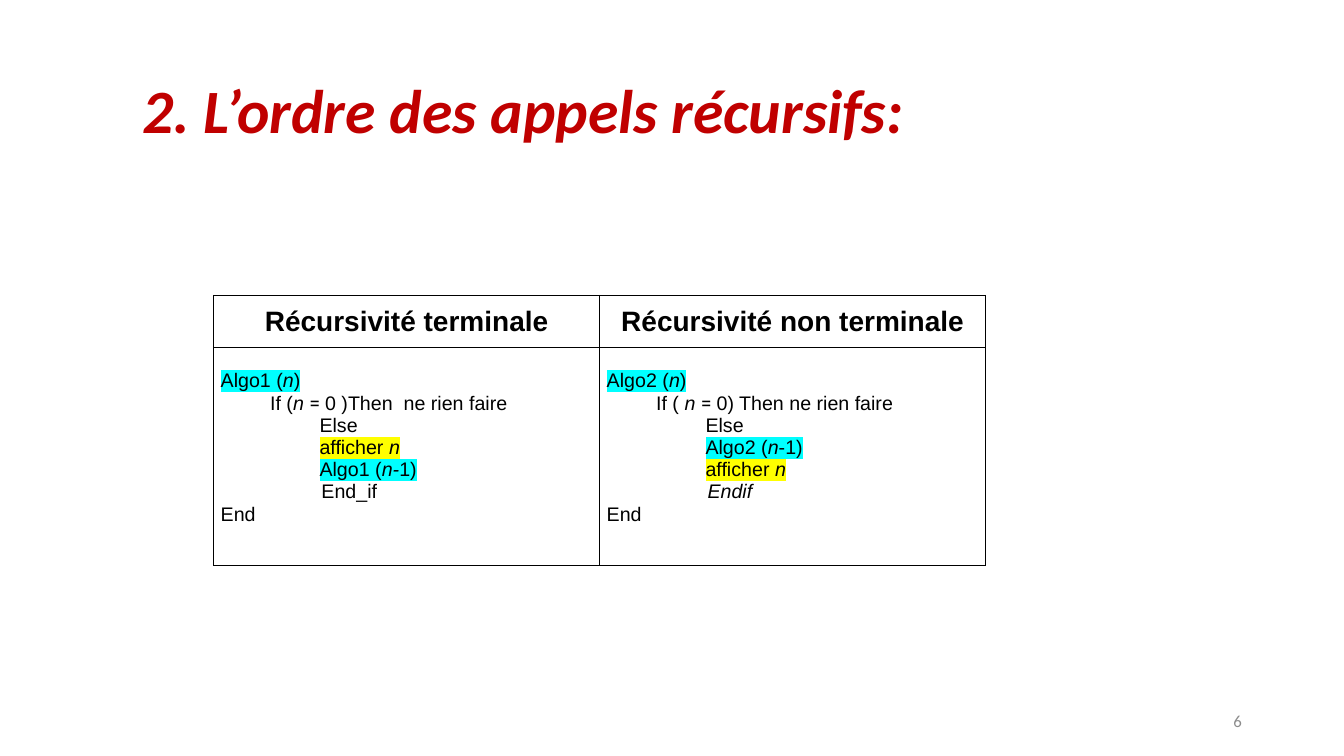
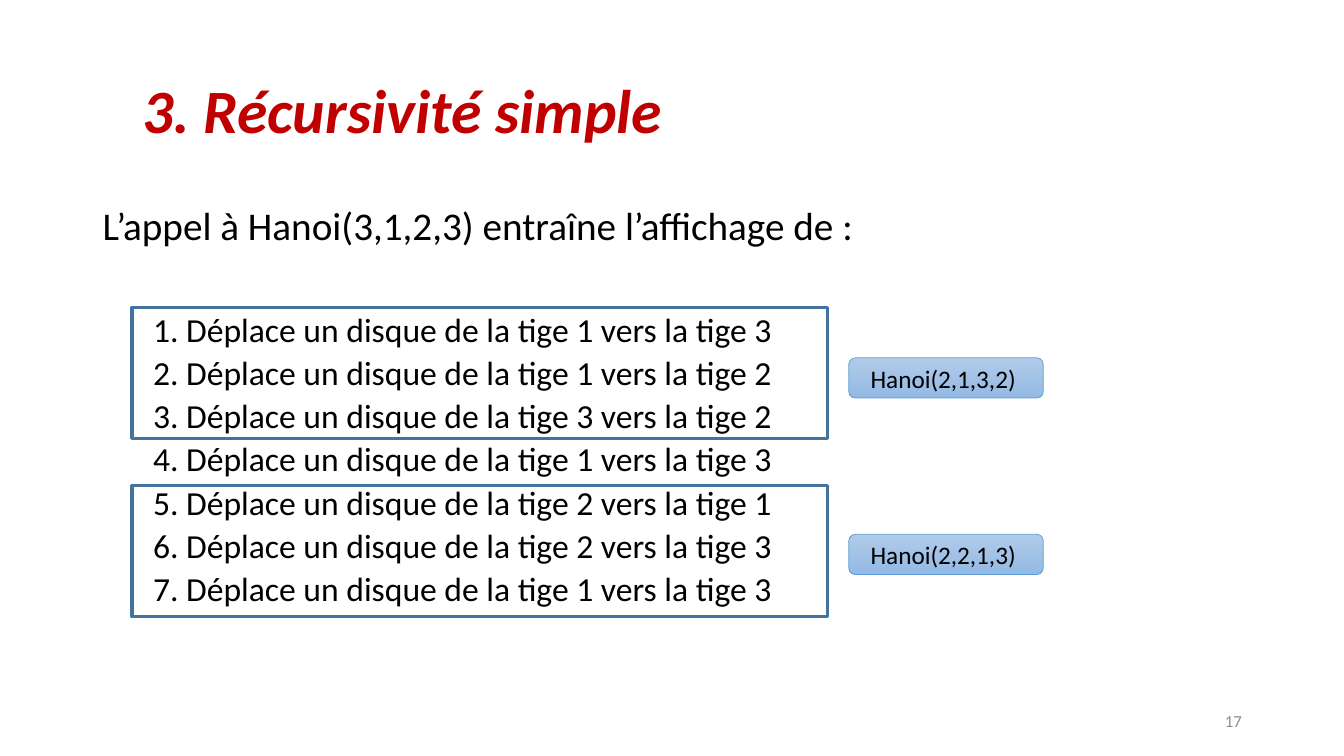
from dataclasses import dataclass

from lxml.etree import SubElement
from pptx import Presentation
from pptx.dml.color import RGBColor
from pptx.enum.shapes import MSO_SHAPE
from pptx.enum.text import MSO_ANCHOR, PP_ALIGN
from pptx.oxml.ns import qn
from pptx.util import Inches, Pt


@dataclass(frozen=True)
class Theme:
    width: float = 13.33
    height: float = 7.5
    text_font: str = "Calibri"
    code_font: str = "Arial"
    sign_font: str = "Roboto"
    ink: str = "000000"
    accent: str = "C00000"
    muted: str = "8C8C8C"
    frame: str = "43739E"
    tag_edge: str = "5B9BD5"
    tag_fill: tuple = ("B1CBE9", "93B9E4")
    call_mark: str = "00FFFF"
    print_mark: str = "FFFF00"
    title_size: int = 44
    lead_size: int = 28
    item_size: int = 24
    heading_size: int = 20
    tag_size: int = 18
    code_size: int = 14
    number_size: int = 12
    code_indent: float = 0.49
    cell_inset: float = 0.07


THEME = Theme()
VARIABLE = {"italic": True}
SIGN = {"name": THEME.sign_font}


def assign(target, values):
    for name, value in values.items():
        setattr(target, name, value)


class Deck:
    def __init__(self, theme):
        self.theme = theme
        self.presentation = Presentation()
        assign(self.presentation, {"slide_width": Inches(theme.width), "slide_height": Inches(theme.height)})
        self.slide = None

    def place(self, left, top, width, height):
        across, down = self.presentation.slide_width / 100, self.presentation.slide_height / 100
        return [round(share * unit) for share, unit in zip((left, top, width, height), (across, down) * 2)]

    def add_text(self, frame, runs, size, name=None, color=None, bold=False, italic=False,
                 mark=None, indent=0, first=True, **layout):
        paragraph = frame.paragraphs[0] if first else frame.add_paragraph()
        paragraph._p.get_or_add_pPr().set("marL", str(Inches(indent)))
        assign(paragraph, layout)
        base = {"size": Pt(size), "name": name or self.theme.text_font, "bold": bold, "italic": italic}
        for text, changes in [(runs, {})] if isinstance(runs, str) else runs:
            run = paragraph.add_run()
            run.text = text
            assign(run.font, base | changes)
            run.font.color.rgb = RGBColor.from_string(color or self.theme.ink)
            if mark:
                self.highlight(run, mark)

    def highlight(self, run, color):
        properties = run._r.get_or_add_rPr()
        highlight = SubElement(properties, qn("a:highlight"))
        SubElement(highlight, qn("a:srgbClr"), val=color)
        properties.find(qn("a:latin")).addprevious(highlight)

    def text_box(self, *area, anchor=MSO_ANCHOR.TOP):
        frame = self.slide.shapes.add_textbox(*self.place(*area)).text_frame
        assign(frame, {"word_wrap": True, "vertical_anchor": anchor})
        return frame

    def start_slide(self, title, number):
        theme = self.theme
        self.slide = self.presentation.slides.add_slide(self.presentation.slide_layouts[6])
        self.add_text(self.text_box(9.83, 5.33, 83.25, 19.33, anchor=MSO_ANCHOR.MIDDLE), title,
                      theme.title_size, color=theme.accent, bold=True, italic=True, line_spacing=0.9)
        self.add_text(self.text_box(70.65, 92.67, 22.5, 5.33, anchor=MSO_ANCHOR.MIDDLE), str(number),
                      theme.number_size, color=theme.muted, alignment=PP_ALIGN.RIGHT)

    def shape(self, kind, area, line, weight):
        shape = self.slide.shapes.add_shape(kind, *self.place(*area))
        shape.shadow.inherit = False
        shape.fill.background()
        shape.line.color.rgb = RGBColor.from_string(line)
        shape.line.width = Pt(weight)
        return shape

    def frame(self, *area):
        self.shape(MSO_SHAPE.RECTANGLE, area, self.theme.frame, 2.25)

    def tag(self, text, *area):
        shape = self.shape(MSO_SHAPE.ROUNDED_RECTANGLE, area, self.theme.tag_edge, 0.5)
        shape.fill.gradient()
        shape.fill.gradient_angle = 270
        for stop, color in zip(shape.fill.gradient_stops, self.theme.tag_fill):
            stop.color.rgb = RGBColor.from_string(color)
        assign(shape.text_frame, {"word_wrap": True, "vertical_anchor": MSO_ANCHOR.MIDDLE})
        self.add_text(shape.text_frame, text, self.theme.tag_size, alignment=PP_ALIGN.CENTER)

    def lead_and_items(self, lead, items, *area):
        frame = self.text_box(*area)
        self.add_text(frame, lead, self.theme.lead_size, line_spacing=0.9)
        for index, item in enumerate(items):
            self.add_text(frame, item, self.theme.item_size, first=False, indent=0.5,
                          line_spacing=0.9, space_before=Pt(5 if index else 45.8))

    def border(self, cell):
        properties = cell._tc.get_or_add_tcPr()
        for position, side in enumerate(("lnL", "lnR", "lnT", "lnB")):
            line = SubElement(properties, qn(f"a:{side}"), w=str(Pt(1)))
            fill = SubElement(line, qn("a:solidFill"))
            SubElement(fill, qn("a:srgbClr"), val=self.theme.ink)
            properties.insert(position, line)

    def code_table(self, listings, row_shares, left, top, width):
        theme = self.theme
        area = self.place(left, top, width, sum(row_shares))
        table = self.slide.shapes.add_table(2, len(listings), *area).table
        assign(table, {"first_row": False, "horz_banding": False})
        for row, share in zip(table.rows, row_shares):
            row.height = self.place(0, 0, 0, share)[3]
        inset = Inches(theme.cell_inset)
        for cell in table.iter_cells():
            cell.fill.background()
            self.border(cell)
            assign(cell, {"margin_left": inset, "margin_right": inset, "margin_top": 0, "margin_bottom": 0})
        for column, (heading, lines) in enumerate(listings.items()):
            head, body = table.cell(0, column), table.cell(1, column)
            head.vertical_anchor = MSO_ANCHOR.MIDDLE
            self.add_text(head.text_frame, heading, theme.heading_size, theme.code_font,
                          bold=True, alignment=PP_ALIGN.CENTER)
            body.margin_top = Inches(0.22)
            for index, (level, mark, runs) in enumerate(lines):
                self.add_text(body.text_frame, runs, theme.code_size, theme.code_font, mark=mark,
                              indent=level * theme.code_indent, first=index == 0, alignment=PP_ALIGN.JUSTIFY)


def listing(name, opening, closing, call_runs, call_first, end_runs):
    call = (2, THEME.call_mark, call_runs)
    display = (2, THEME.print_mark, [("afficher ", {}), ("n", VARIABLE)])
    return [
        (0, THEME.call_mark, [(f"{name} (", {}), ("n", VARIABLE), (")", {})]),
        (1, None, [(opening, {}), ("n ", VARIABLE), ("= ", SIGN), (closing, {})]),
        (2, None, "Else"),
        *([call, display] if call_first else [display, call]),
        (2.04, None, end_runs),
        (0, None, "End"),
    ]


def call_order_slide(deck):
    deck.start_slide("2. L’ordre des appels récursifs:", 6)
    deck.code_table({
        "Récursivité terminale": listing(
            "Algo1", "If (", "0 )Then  ne rien faire",
            [("Algo1 (", {}), ("n-", VARIABLE), ("1)", {})], False, "End_if"),
        "Récursivité non terminale": listing(
            "Algo2", "If ( ", "0) Then ne rien faire",
            [("Algo2 (", {}), ("n", VARIABLE), ("-1)", {})], True, [("Endif", VARIABLE)]),
    }, (6.93, 28.8), 15.9, 39.07, 57.45)


def hanoi_slide(deck):
    deck.start_slide("3. Récursivité simple", 17)
    moves = [(1, 3), (1, 2), (3, 2), (1, 3), (2, 1), (2, 3), (1, 3)]
    deck.lead_and_items(
        "L’appel à Hanoi(3,1,2,3) entraîne l’affichage de :",
        [f"{rank}. Déplace un disque de la tige {source} vers la tige {target}"
         for rank, (source, target) in enumerate(moves, 1)],
        6.9, 26.67, 86.25, 63.47)
    for text, frame_top, tag_top in (("Hanoi(2,1,3,2) ", 40.67, 47.33), ("Hanoi(2,2,1,3) ", 64.27, 70.67)):
        deck.frame(9.83, frame_top, 51.75, 17.33)
        deck.tag(text, 63.15, tag_top, 14.48, 5.33)


def main():
    deck = Deck(THEME)
    call_order_slide(deck)
    hanoi_slide(deck)
    deck.presentation.save("out.pptx")


if __name__ == "__main__":
    main()
